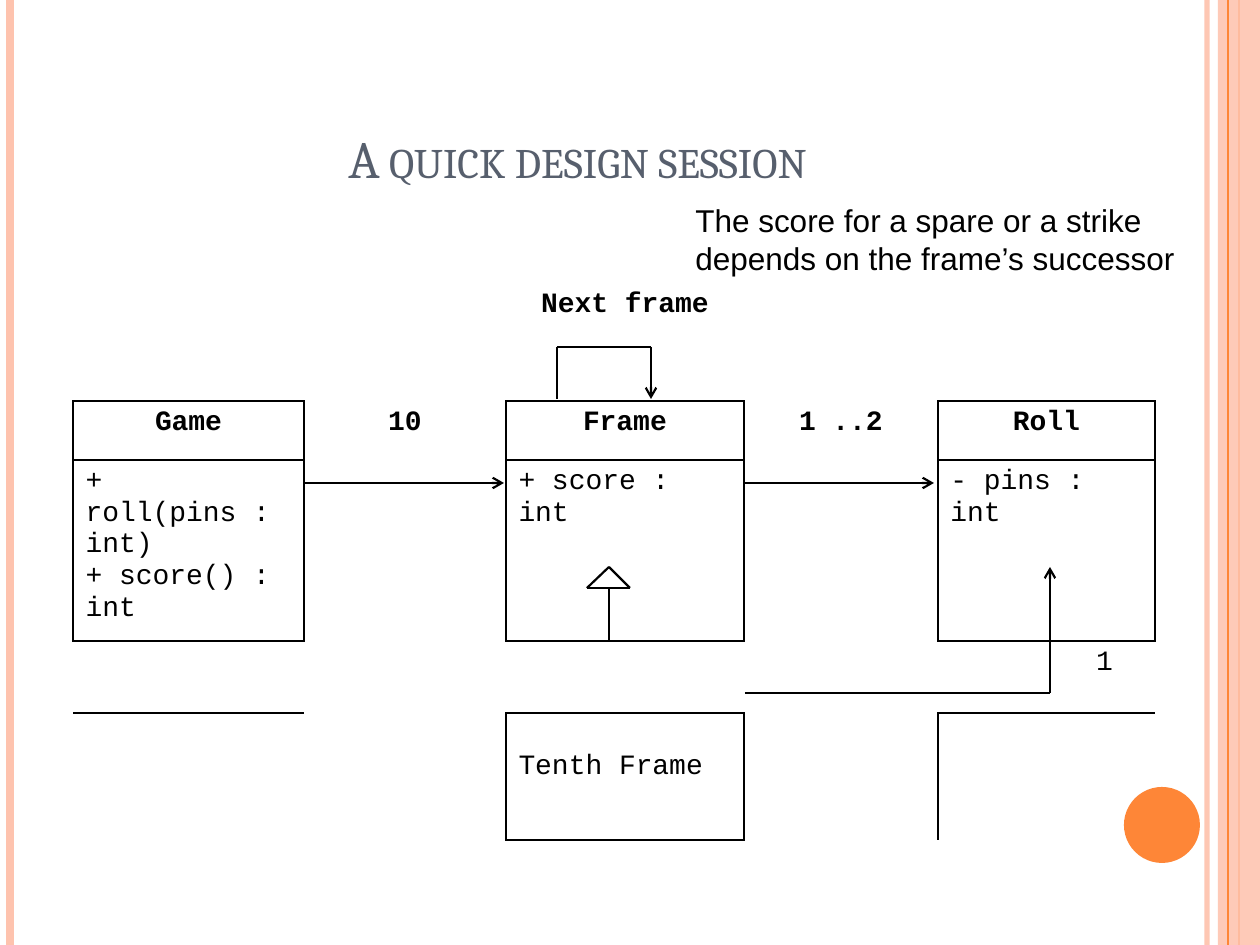
from dataclasses import dataclass

from lxml import etree
from pptx import Presentation
from pptx import util as u
from pptx.dml import color
from pptx.enum import shapes, text
from pptx.oxml import ns

PX = 914400 // 126  # one pixel in EMU
INK, PEACH, ORANGE, SLATE = "000000", "FEC3AE", "FE8637", "575F6D"
MONO = "Courier New"
MID = text.PP_ALIGN.CENTER


@dataclass
class Line:
    x1: int
    y1: int
    x2: int
    y2: int
    hue: str = INK
    width: float = 1.25
    arrow: bool = False
    alpha: int = 100


@dataclass
class Cell:
    row: int
    col: int
    lines: tuple
    bold: bool = False
    align: int = text.PP_ALIGN.LEFT
    margin: tuple = ()


def rgb(hue: str) -> color.RGBColor:
    return color.RGBColor.from_string(hue)


def px(*sizes: int) -> list:
    return [size * PX for size in sizes]


def sub(node, tag: str, **attrs):
    return etree.SubElement(node, ns.qn(tag), **attrs)


def fade(shape, alpha: int) -> None:
    """Set the opacity of the first colour of a shape."""
    tint = shape._element.spPr.find(".//" + ns.qn("a:srgbClr"))
    sub(tint, "a:alpha", val=str(alpha * 1000))


def style(para, name: str, size: int, hue: str = INK, bold: bool = False) -> None:
    look = {"name": name, "size": u.Pt(size), "bold": bold}
    for key, value in look.items():
        setattr(para.font, key, value)
    para.font.color.rgb = rgb(hue)


def draw_line(slide, ln: Line) -> None:
    link = slide.shapes.add_connector(
        shapes.MSO_CONNECTOR.STRAIGHT, *px(ln.x1, ln.y1, ln.x2, ln.y2))
    link.line.color.rgb = rgb(ln.hue)
    link.line.width = u.Pt(ln.width)
    if ln.arrow:
        sub(link.line._get_or_add_ln(), "a:tailEnd", type="arrow")
    if ln.alpha < 100:
        fade(link, ln.alpha)
    sub(link._element.spPr, "a:effectLst")


def draw_shape(slide, kind, box: tuple, hue: str):
    shape = slide.shapes.add_shape(kind, *px(*box))
    shape.shadow.inherit = False
    shape.fill.solid()
    shape.fill.fore_color.rgb = rgb(hue)
    shape.line.fill.background()
    return shape


def draw_edge(cell, side: str) -> None:
    ln = sub(cell._tc.get_or_add_tcPr(), f"a:ln{side}", w=str(u.Pt(1)))
    sub(sub(ln, "a:solidFill"), "a:srgbClr", val=INK)


def fill_cell(grid, item: Cell) -> None:
    cell = grid.cell(item.row, item.col)
    for key, size in item.margin:
        setattr(cell, key, size * PX)
    frame = cell.text_frame
    frame.text = "\n".join(item.lines)
    for para in frame.paragraphs:
        para.alignment = item.align
        style(para, MONO, 16, bold=item.bold)


def draw_grid(slide, left: int, top: int, cols: tuple, rows: tuple,
              boxed: set, items: list) -> None:
    frame = slide.shapes.add_table(
        len(rows), len(cols), *px(left, top, sum(cols), sum(rows)))
    grid = frame.table
    grid.first_row = grid.horz_banding = False
    # The plain style, without grid lines
    grid._tbl.tblPr.find(ns.qn("a:tableStyleId")).text = \
        "{2D5ABB26-0587-4C30-8999-92F81FD0307C}"
    for col, size in zip(grid.columns, cols):
        col.width = size * PX
    for row, size in zip(grid.rows, rows):
        row.height = size * PX
    # An edge shows when the cell on either side of it is boxed
    sides = {"L": (0, -1), "R": (0, 1), "T": (-1, 0), "B": (1, 0)}
    for r in range(len(rows)):
        for c in range(len(cols)):
            cell = grid.cell(r, c)
            for side, (down, over) in sides.items():
                if boxed & {(r, c), (r + down, c + over)}:
                    draw_edge(cell, side)
            cell.fill.background()
    for item in items:
        fill_cell(grid, item)


BARS = [
    Line(1207, 0, 1207, 945, PEACH, 3, alpha=93),
    Line(10, 0, 10, 945, PEACH, 4.5),
    Line(1239, 0, 1239, 945, ORANGE, 1.5),
]

COLS = (231, 202, 238, 194, 217)
ROWS = (59, 59, 59, 181, 72, 127)
BOXED = {(2, 0), (3, 0), (2, 2), (3, 2), (2, 4), (3, 4), (5, 2)}
CELLS = [
    Cell(0, 2, ("Next frame",), True, MID),
    *(Cell(2, c, (name,), True, MID) for c, name in
      enumerate(("Game", "10", "Frame", "1 ..2", "Roll"))),
    Cell(3, 0, ("+ roll(pins : int)", "+ score() : int")),
    Cell(3, 2, ("+ score : int",)),
    Cell(3, 4, ("- pins : int",)),
    Cell(4, 4, ("1",), align=text.PP_ALIGN.RIGHT, margin=(("margin_right", 42),)),
    Cell(5, 2, ("Tenth Frame",), margin=(("margin_top", 38),)),
]

LINKS = [
    # Frame to its next frame
    Line(557, 399, 557, 347),
    Line(557, 347, 651, 347),
    Line(651, 347, 651, 399, arrow=True),
    # Game to Frame, Frame to Roll
    Line(304, 483, 504, 483, arrow=True),
    Line(745, 483, 934, 483, arrow=True),
    # Inheritance triangle and stem
    Line(609, 567, 587, 588),
    Line(609, 567, 630, 588),
    Line(630, 588, 587, 588),
    Line(609, 588, 609, 640),
    # Tenth frame to Roll
    Line(1050, 693, 1050, 567, arrow=True),
    Line(745, 693, 1050, 693),
]


def main() -> None:
    deck = Presentation()
    deck.slide_width, deck.slide_height = u.Inches(10), u.Inches(7.5)
    slide = deck.slides.add_slide(deck.slide_layouts[5])

    # Side bars and disc
    for bar in BARS:
        draw_line(slide, bar)
    kind = shapes.MSO_SHAPE
    fade(draw_shape(slide, kind.RECTANGLE, (1218, 0, 42, 945), PEACH), 87)
    draw_line(slide, Line(1228, 0, 1228, 945, ORANGE, 0.75))
    draw_shape(slide, kind.OVAL, (1124, 787, 76, 76), ORANGE)

    # Title
    title = slide.shapes.title
    title.left, title.top, title.width, title.height = px(63, 38, 1029, 157)
    frame = title.text_frame
    frame.text = "A quick design session"
    frame.auto_size = text.MSO_AUTO_SIZE.NONE
    frame.vertical_anchor = text.MSO_ANCHOR.BOTTOM
    head = frame.paragraphs[0]
    head.alignment = MID
    style(head, "Cambria", 30, SLATE)
    head.runs[0].font._element.set("cap", "small")

    # Remark
    note = slide.shapes.add_textbox(*px(683, 195, 567, 88)).text_frame
    note.word_wrap = True
    note.text = ("The score for a spare or a strike "
                 "depends on the frame’s successor")
    style(note.paragraphs[0], "Arial", 18)

    # Class diagram
    draw_grid(slide, 73, 283, COLS, ROWS, BOXED, CELLS)
    for link in LINKS:
        draw_line(slide, link)

    deck.save("out.pptx")


if __name__ == "__main__":
    main()
